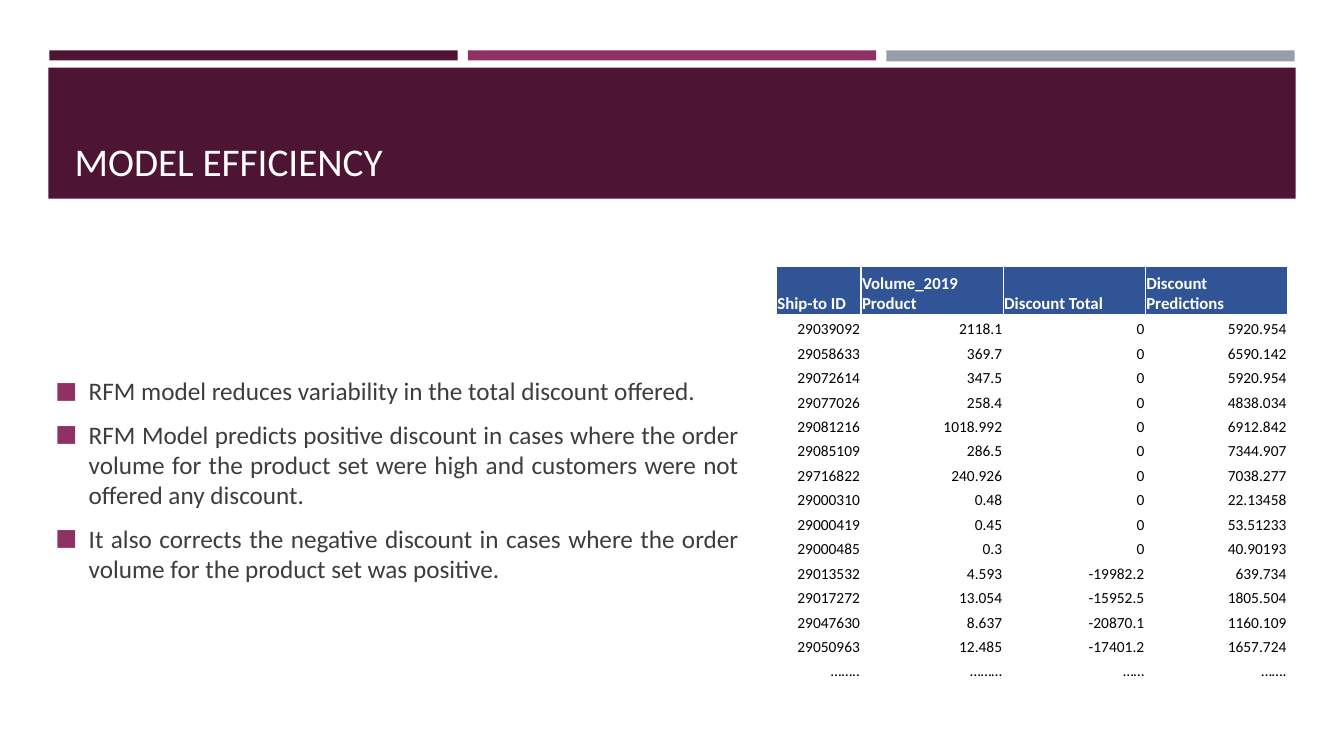
"""Build the Model Efficiency slide with its findings and discount table."""
from lxml.etree import SubElement
from pptx import Presentation
from pptx.dml.color import RGBColor
from pptx.enum.shapes import MSO_SHAPE
from pptx.enum.text import MSO_ANCHOR, MSO_AUTO_SIZE, PP_ALIGN
from pptx.oxml.ns import qn
from pptx.util import Inches, Pt

COLORS = {
    "plum": "4D1434",
    "magenta": "903163",
    "gray": "969FA7",
    "blue": "305496",
    "text": "3D3D3D",
    "black": "000000",
    "white": "FFFFFF",
}


def write(p, text, size=18, color="text", bold=False, align=PP_ALIGN.LEFT):
    p.alignment = align
    r = p.add_run()
    r.text = text
    r.font.name = "Calibri"
    r.font.size = Pt(size)
    r.font.bold = bold
    r.font.color.rgb = RGBColor.from_string(COLORS[color])


def place(sp, left, top, width, height):
    sp.left, sp.top = Inches(left), Inches(top)
    sp.width, sp.height = Inches(width), Inches(height)


prs = Presentation()
prs.slide_width, prs.slide_height = Inches(13.33), Inches(7.5)
s = prs.slides.add_slide(prs.slide_layouts[1])
title, body = s.placeholders

bars = [
    (0.49, 0.5, 4.05, 0.1, "plum"),
    (8.79, 0.5, 4.05, 0.11, "gray"),
    (4.64, 0.5, 4.05, 0.1, "magenta"),
    (0.48, 0.67, 12.37, 1.3, "plum"),
]
for left, top, width, height, color in bars:
    sp = s.shapes.add_shape(MSO_SHAPE.RECTANGLE, Inches(left), Inches(top),
                            Inches(width), Inches(height))
    sp.shadow.inherit = False
    sp.fill.solid()
    sp.fill.fore_color.rgb = RGBColor.from_string(COLORS[color])
    sp.line.fill.background()
    title.element.addprevious(sp.element)

place(title, 0.64, 0.77, 12.06, 1.11)
tf = title.text_frame
tf.auto_size = MSO_AUTO_SIZE.NONE
tf.vertical_anchor = MSO_ANCHOR.BOTTOM
write(tf.paragraphs[0], "MODEL EFFICIENCY", size=28, color="white")

findings = [
    "RFM model reduces variability in the total discount offered.",
    "RFM Model predicts positive discount in cases where the order volume for "
    "the product set were high and customers were not offered any discount.",
    "It also corrects the negative discount in cases where the order volume "
    "for the product set was positive.",
]
place(body, 0.45, 2.44, 6.98, 4.63)
tf = body.text_frame
tf.auto_size = MSO_AUTO_SIZE.NONE
tf.vertical_anchor = MSO_ANCHOR.MIDDLE
for i, finding in enumerate(findings):
    p = tf.add_paragraph() if i else tf.paragraphs[0]
    write(p, finding, align=PP_ALIGN.JUSTIFY)
    p.space_before, p.space_after = Pt(3.6), Pt(6)
    pPr = p._p.get_or_add_pPr()
    pPr.set("marL", str(Inches(0.33)))
    pPr.set("indent", str(-Inches(0.33)))
    SubElement(SubElement(pPr, qn("a:buClr")), qn("a:srgbClr"), val=COLORS["magenta"])
    SubElement(pPr, qn("a:buSzPct"), val="92000")
    SubElement(pPr, qn("a:buFont"), typeface="Calibri")
    SubElement(pPr, qn("a:buChar"), char="■")

rows = [
    ("Ship-to ID", "Volume_2019 Product", "Discount Total", "Discount Predictions"),
    ("29039092", "2118.1", "0", "5920.954"),
    ("29058633", "369.7", "0", "6590.142"),
    ("29072614", "347.5", "0", "5920.954"),
    ("29077026", "258.4", "0", "4838.034"),
    ("29081216", "1018.992", "0", "6912.842"),
    ("29085109", "286.5", "0", "7344.907"),
    ("29716822", "240.926", "0", "7038.277"),
    ("29000310", "0.48", "0", "22.13458"),
    ("29000419", "0.45", "0", "53.51233"),
    ("29000485", "0.3", "0", "40.90193"),
    ("29013532", "4.593", "-19982.2", "639.734"),
    ("29017272", "13.054", "-15952.5", "1805.504"),
    ("29047630", "8.637", "-20870.1", "1160.109"),
    ("29050963", "12.485", "-17401.2", "1657.724"),
    ("……..", "………", "……", "……."),
]
HEADER_H, TABLE_H = 0.48, 4.12
table = s.shapes.add_table(len(rows), 4, Inches(7.7), Inches(2.64),
                           Inches(5.06), Inches(TABLE_H)).table
table.horz_banding = False
for i, column in enumerate(table.columns):
    column.width = Inches(1.41 if i else 0.84)
for i, values in enumerate(rows):
    row_h = (TABLE_H - HEADER_H) / (len(rows) - 1) if i else HEADER_H
    table.rows[i].height = Inches(row_h)
    for j, value in enumerate(values):
        cell = table.cell(i, j)
        cell.fill.solid()
        cell.fill.fore_color.rgb = RGBColor.from_string(COLORS["white" if i else "blue"])
        cell.vertical_anchor = MSO_ANCHOR.BOTTOM
        cell.margin_left = cell.margin_right = cell.margin_top = Inches(0.01)
        cell.margin_bottom = 0
        p = cell.text_frame.paragraphs[0]
        if i:
            write(p, value, size=11, color="black", align=PP_ALIGN.RIGHT)
        else:
            write(p, value, size=12, color="white", bold=True)

prs.save("out.pptx")
